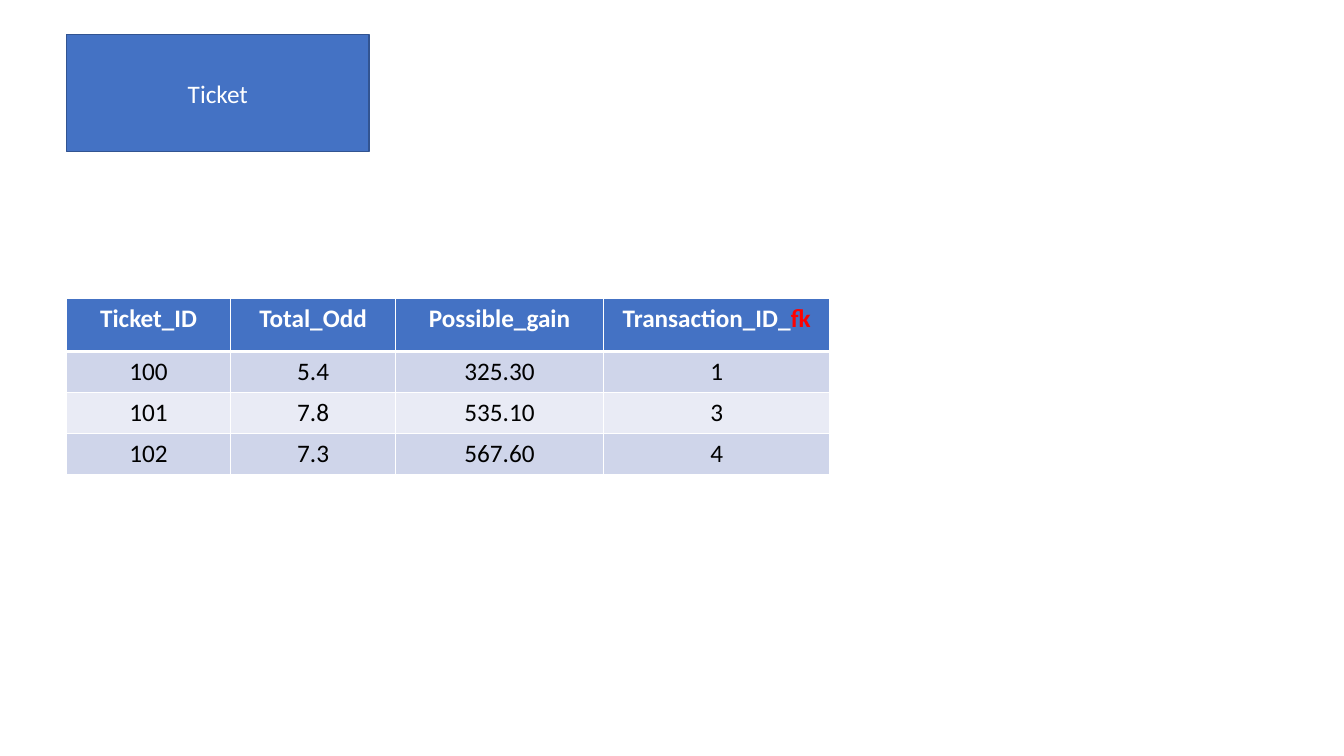
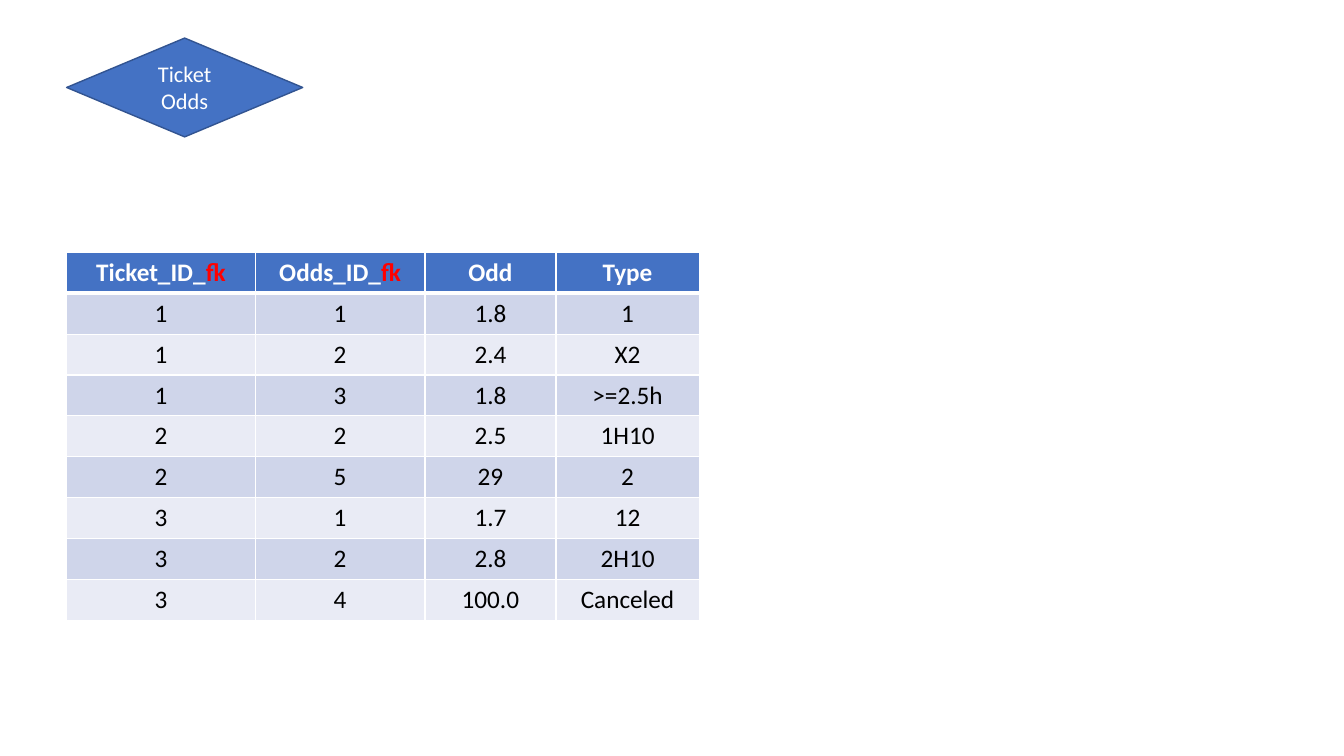
from dataclasses import dataclass

from lxml.etree import SubElement
from pptx import Presentation
from pptx.dml.color import RGBColor
from pptx.enum.shapes import MSO_SHAPE as Shape
from pptx.enum.text import MSO_ANCHOR as Anchor, PP_ALIGN as Align
from pptx.oxml.ns import qn
from pptx.util import Cm, Pt

FONT = "Calibri"
BLUE, DARK_BLUE = "4472C4", "325491"
WHITE, BLACK, RED = "FFFFFF", "000000", "FF0000"
BANDS = ("CFD5EA", "E9EBF5")
LEFT = 1.68
ROW_HEIGHT = 1.03
KEY_MARK = "fk"


@dataclass(frozen=True)
class Label:
    kind: Shape
    text: str
    top: float
    width: float
    height: float
    size: int


@dataclass(frozen=True)
class Grid:
    top: float
    widths: tuple[float, ...]
    header_height: float
    header: tuple[str, ...]
    rows: tuple[tuple[str, ...], ...]


PAGES = (
    (
        Label(Shape.RECTANGLE, "Ticket", 0.87, 7.62, 2.95, 18),
        Grid(
            7.52, (4.13, 4.16, 5.24, 5.7), 1.34,
            ("Ticket_ID", "Total_Odd", "Possible_gain", "Transaction_ID_fk"),
            (
                ("100", "5.4", "325.30", "1"),
                ("101", "7.8", "535.10", "3"),
                ("102", "7.3", "567.60", "4"),
            ),
        ),
    ),
    (
        Label(Shape.FLOWCHART_DECISION, "Ticket Odds", 0.96, 5.95, 2.49, 16),
        Grid(
            6.36, (4.75, 4.28, 3.3, 3.61), ROW_HEIGHT,
            ("Ticket_ID_fk", "Odds_ID_fk", "Odd", "Type"),
            (
                ("1", "1", "1.8", "1"),
                ("1", "2", "2.4", "X2"),
                ("1", "3", "1.8", ">=2.5h"),
                ("2", "2", "2.5", "1H10"),
                ("2", "5", "29", "2"),
                ("3", "1", "1.7", "12"),
                ("3", "2", "2.8", "2H10"),
                ("3", "4", "100.0", "Canceled"),
            ),
        ),
    ),
)


def rgb(value: str) -> RGBColor:
    return RGBColor.from_string(value)


def paint(target, color: str) -> None:
    target.fill.solid()
    target.fill.fore_color.rgb = rgb(color)


def add_run(p, text: str, color: str, size: int = 18, bold: bool = False) -> None:
    p.alignment = Align.CENTER
    r = p.add_run()
    r.text = text
    r.font.name, r.font.size, r.font.bold = FONT, Pt(size), bold
    r.font.color.rgb = rgb(color)


def add_label(slide, label: Label) -> None:
    sp = slide.shapes.add_shape(
        label.kind, Cm(LEFT), Cm(label.top), Cm(label.width), Cm(label.height)
    )
    sp.shadow.inherit = False
    paint(sp, BLUE)
    sp.line.color.rgb = rgb(DARK_BLUE)
    sp.line.width = Pt(1)
    tf = sp.text_frame
    tf.word_wrap = True
    tf.vertical_anchor = Anchor.MIDDLE
    add_run(tf.paragraphs[0], label.text, WHITE, label.size)


def set_borders(cell, top: int, bottom: int) -> None:
    """Draw white cell borders; top and bottom are widths in points."""
    tc_pr = cell._tc.get_or_add_tcPr()
    for side, width in (("L", 1), ("R", 1), ("T", top), ("B", bottom)):
        ln = SubElement(tc_pr, qn(f"a:ln{side}"), w=str(Pt(width)))
        SubElement(SubElement(ln, qn("a:solidFill")), qn("a:srgbClr"), val=WHITE)


def fill_header_cell(cell, text: str) -> None:
    """Write a column name, with a foreign-key mark in red."""
    set_borders(cell, 1, 3)
    paint(cell, BLUE)
    p = cell.text_frame.paragraphs[0]
    add_run(p, text.removesuffix(KEY_MARK), WHITE, bold=True)
    if text.endswith(KEY_MARK):
        add_run(p, KEY_MARK, RED, bold=True)


def add_grid(slide, grid: Grid) -> None:
    heights = [grid.header_height] + [ROW_HEIGHT] * len(grid.rows)
    table = slide.shapes.add_table(
        len(heights), len(grid.widths),
        Cm(LEFT), Cm(grid.top), Cm(sum(grid.widths)), Cm(sum(heights)),
    ).table
    for column, width in zip(table.columns, grid.widths):
        column.width = Cm(width)
    for row, height in zip(table.rows, heights):
        row.height = Cm(height)
    for j, name in enumerate(grid.header):
        fill_header_cell(table.cell(0, j), name)
    for i, values in enumerate(grid.rows):
        for j, value in enumerate(values):
            cell = table.cell(i + 1, j)
            set_borders(cell, 3 if i == 0 else 1, 1)
            paint(cell, BANDS[i % 2])
            add_run(cell.text_frame.paragraphs[0], value, BLACK)


def main() -> None:
    prs = Presentation()
    prs.slide_width, prs.slide_height = Cm(33.87), Cm(19.05)
    blank = prs.slide_layouts[6]
    for label, grid in PAGES:
        slide = prs.slides.add_slide(blank)
        add_label(slide, label)
        add_grid(slide, grid)
    prs.save("out.pptx")


if __name__ == "__main__":
    main()
